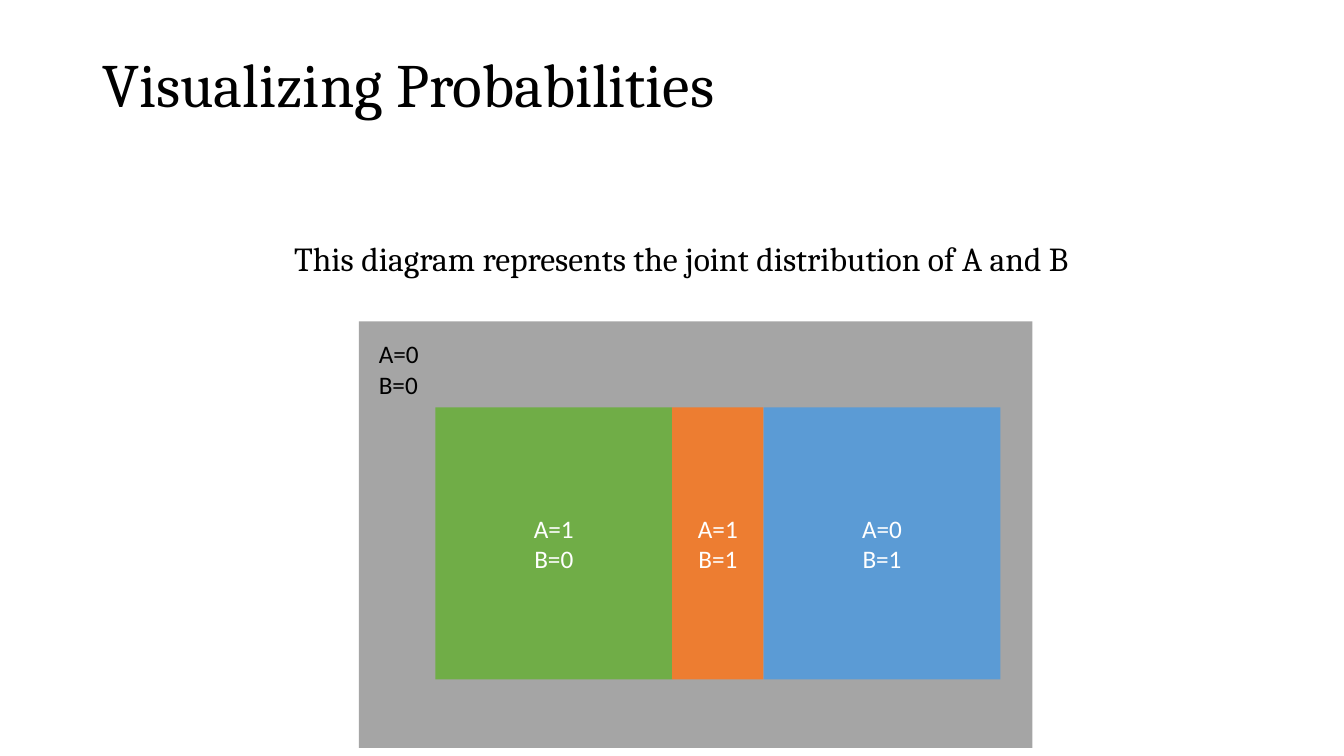
from dataclasses import dataclass

from pptx import Presentation
from pptx import util as u
from pptx.dml.color import RGBColor
from pptx.enum import shapes, text


@dataclass(frozen=True)
class Theme:
    """Colours, fonts and type sizes of the slide."""
    ink: str = "000000"
    pale: str = "FFFFFF"
    gray: str = "A5A5A5"
    green: str = "70AD47"
    orange: str = "ED7D31"
    blue: str = "5B9BD5"
    serif: str = "Cambria"
    sans: str = "Calibri"
    title: int = 44
    lead: int = 24
    label: int = 18


class Deck:
    """Draws styled elements on the current slide."""

    def __init__(self, theme, width, height):
        self.theme = theme
        self.prs = Presentation()
        self.prs.slide_width = u.Pt(width)
        self.prs.slide_height = u.Pt(height)
        self.slide = self.prs.slides.add_slide(self.prs.slide_layouts[6])

    def style(self, frame, font, size, color, align=text.PP_ALIGN.LEFT):
        for para in frame.paragraphs:
            para.alignment = align
            for run in para.runs:
                run.font.name = font
                run.font.size = u.Pt(size)
                run.font.color.rgb = RGBColor.from_string(color)

    def label(self, words, area, font, size, anchor=text.MSO_ANCHOR.TOP):
        box = self.slide.shapes.add_textbox(*map(u.Pt, area))
        frame = box.text_frame
        frame.word_wrap = True
        frame.vertical_anchor = anchor
        frame.text = words
        self.style(frame, font, size, self.theme.ink)
        return frame

    def title(self, words, area):
        frame = self.label(words, area, self.theme.serif, self.theme.title,
                           text.MSO_ANCHOR.MIDDLE)
        frame.paragraphs[0].line_spacing = 0.9

    def block(self, area, fill, words=""):
        rect = self.slide.shapes.add_shape(
            shapes.MSO_SHAPE.RECTANGLE, *map(u.Pt, area))
        rect.shadow.inherit = False
        rect.fill.solid()
        rect.fill.fore_color.rgb = RGBColor.from_string(fill)
        rect.line.fill.background()
        frame = rect.text_frame
        frame.vertical_anchor = text.MSO_ANCHOR.MIDDLE
        frame.text = words
        self.style(frame, self.theme.sans, self.theme.label,
                   self.theme.pale, text.PP_ALIGN.CENTER)


def main():
    look = Theme()
    deck = Deck(look, 960, 540)
    deck.title("Visualizing Probabilities", (66, 10, 828, 104.4))
    deck.block((256.4, 229.6, 481, 304.6), look.gray)
    deck.label("A=0 B=0", (263.5, 238.3, 74.2, 51), look.sans, look.label)

    left, top, high = 311, 291, 194.4
    events = (
        ("A=1\nB=0", 169.2, look.green),
        ("A=1\nB=1", 65.2, look.orange),
        ("A=0\nB=1", 169.2, look.blue),
    )
    for words, wide, fill in events:
        deck.block((left, top, wide, high), fill, words)
        left += wide

    deck.label("This diagram represents the joint distribution of A and B",
               (203, 166.3, 639.4, 36), look.serif, look.lead)
    deck.prs.save("out.pptx")


if __name__ == "__main__":
    main()
